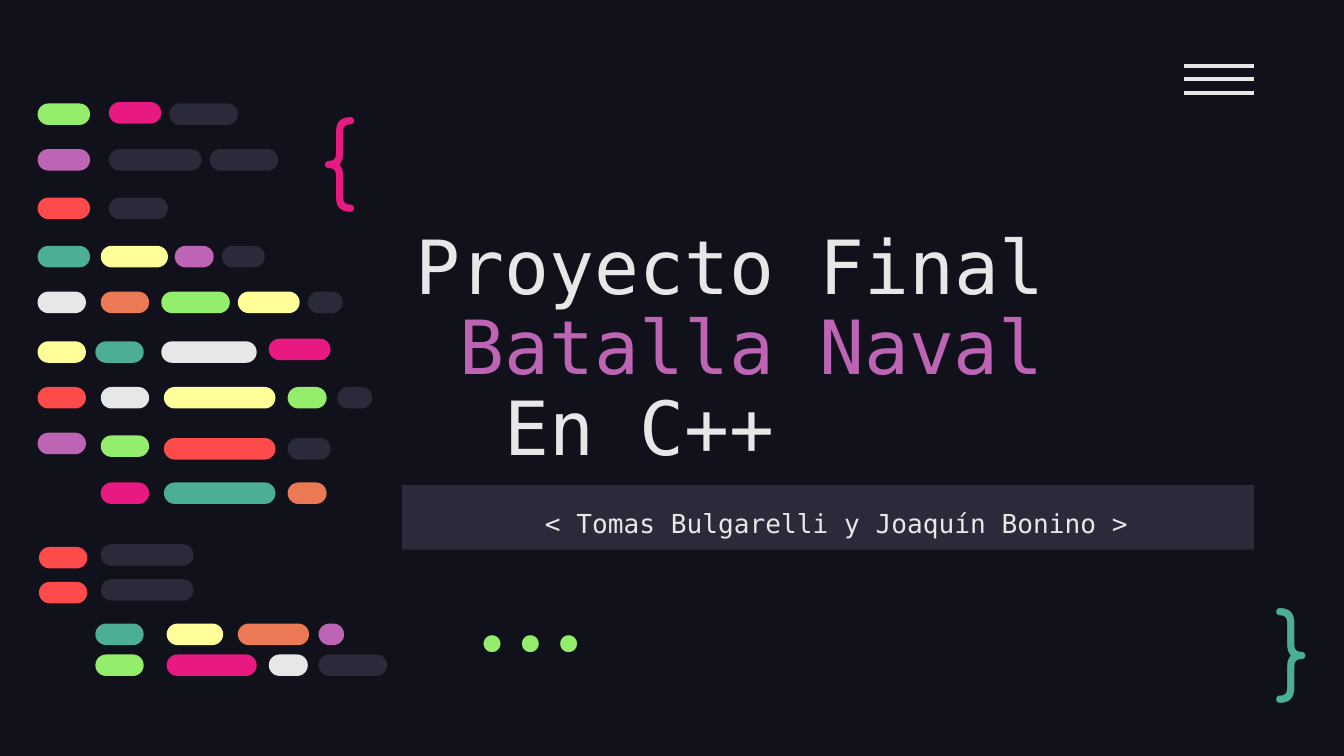
from dataclasses import dataclass, field

from lxml import etree
from pptx import Presentation
from pptx import util as u
from pptx.dml.color import RGBColor
from pptx.enum import shapes, text
from pptx.oxml.ns import qn


@dataclass
class Theme:
    cell: float = 0.1
    cols: float = 100
    rows: float = 56.25
    mono: str = "DejaVu Sans Mono"
    brace: str = "Comfortaa"
    code: str = "Fira Code"
    title: int = 40
    subtitle: int = 14
    symbol: int = 50
    char_width: float = 0.6
    colors: dict = field(default_factory=lambda: {
        "back": "10111A", "dark": "2C293A", "white": "E7E7E7",
        "purple": "BD64B5", "pink": "E81A81", "teal": "4CAE97",
        "green": "94EE6B", "red": "FD4A4A", "yellow": "FFFF99",
        "orange": "EC7955",
    })

    def rgb(self, name):
        return RGBColor.from_string(self.colors[name])


class Deck:
    def __init__(self, theme):
        self.theme = theme
        self.prs = Presentation()
        self.prs.slide_width = self.size(theme.cols)
        self.prs.slide_height = self.size(theme.rows)
        self.s = self.prs.slides.add_slide(self.prs.slide_layouts[6])
        self.paint(self.s.background.fill, "back")

    def size(self, cells):
        return u.Inches(cells * self.theme.cell)

    def paint(self, fill, color):
        fill.solid()
        fill.fore_color.rgb = self.theme.rgb(color)

    def shape(self, kind, box, color):
        sp = self.s.shapes.add_shape(kind, *map(self.size, box))
        sp.shadow.inherit = False
        self.paint(sp.fill, color)
        sp.line.fill.background()
        return sp

    def pill(self, box, color):
        sp = self.shape(shapes.MSO_SHAPE.ROUNDED_RECTANGLE, box, color)
        sp.adjustments[0] = 0.5

    def line(self, x1, x2, y, color, width):
        sp = self.s.shapes.add_connector(
            shapes.MSO_CONNECTOR.STRAIGHT, *map(self.size, (x1, y, x2, y)))
        sp.line.color.rgb = self.theme.rgb(color)
        sp.line.width = u.Pt(width)
        etree.SubElement(sp.element.spPr, qn("a:effectLst"))

    def run(self, p, words, color, font, size):
        r = p.add_run()
        r.text = words
        r.font.color.rgb = self.theme.rgb(color)
        for key, value in {"name": font, "size": u.Pt(size)}.items():
            setattr(r.font, key, value)

    def frame(self, sp, anchor):
        tf = sp.text_frame
        inset = self.size(1)
        style = {"word_wrap": True, "vertical_anchor": anchor,
                 "margin_left": inset, "margin_right": inset,
                 "margin_top": inset, "margin_bottom": inset}
        for key, value in style.items():
            setattr(tf, key, value)
        return tf

    def textbox(self, box, anchor):
        return self.frame(self.s.shapes.add_textbox(*map(self.size, box)), anchor)

    def title(self, box, lines):
        t = self.theme
        tf = self.textbox(box, text.MSO_ANCHOR.BOTTOM)
        for i, (words, color) in enumerate(lines):
            p = tf.add_paragraph() if i else tf.paragraphs[0]
            p.line_spacing = 0.9
            indent = u.Pt(i * t.title * t.char_width)
            p._p.get_or_add_pPr().set("marL", str(indent))
            self.run(p, words, color, t.mono, t.title)

    def banner(self, box, words):
        t = self.theme
        sp = self.shape(shapes.MSO_SHAPE.RECTANGLE, box, "dark")
        p = self.frame(sp, text.MSO_ANCHOR.TOP).paragraphs[0]
        p.alignment = text.PP_ALIGN.CENTER
        p.line_spacing = 1.15
        self.run(p, " ", "white", t.mono, t.subtitle + 2)
        self.run(p, words, "white", t.mono, t.subtitle)

    def symbol(self, box, words, color, font, anchor, align):
        p = self.textbox(box, anchor).paragraphs[0]
        p.alignment = align
        self.run(p, words, color, font, self.theme.symbol)


PILL_HEIGHT = 1.6
CODE_LINES = [
    (7.7, [(2.8, 3.9, "green"), (12.6, 5.1, "dark")]),
    (7.6, [(8.1, 3.9, "pink")]),
    (11.1, [(2.8, 3.9, "purple"), (8.1, 6.9, "dark"), (15.6, 5.1, "dark")]),
    (14.7, [(2.8, 3.9, "red"), (8.1, 4.4, "dark")]),
    (18.3, [(2.8, 3.9, "teal"), (7.5, 5, "yellow"), (13, 2.9, "purple"),
            (16.5, 3.2, "dark")]),
    (21.7, [(2.8, 3.6, "white"), (7.5, 3.6, "orange"), (12, 5.1, "green"),
            (17.7, 4.6, "yellow"), (22.9, 2.6, "dark")]),
    (25.4, [(2.8, 3.6, "yellow"), (7.1, 3.6, "teal"), (12, 7.1, "white")]),
    (25.2, [(20, 4.6, "pink")]),
    (28.8, [(2.8, 3.6, "red"), (7.5, 3.6, "white"), (12.2, 8.3, "yellow"),
            (21.4, 2.9, "green"), (25.1, 2.6, "dark")]),
    (32.2, [(2.8, 3.6, "purple")]),
    (32.4, [(7.5, 3.6, "green")]),
    (32.6, [(12.2, 8.3, "red"), (21.4, 3.2, "dark")]),
    (35.9, [(7.5, 3.6, "pink"), (12.2, 8.3, "teal"), (21.4, 2.9, "orange")]),
    (40.7, [(2.9, 3.6, "red")]),
    (40.5, [(7.5, 6.9, "dark")]),
    (43.3, [(2.9, 3.6, "red")]),
    (43.1, [(7.5, 6.9, "dark")]),
    (46.4, [(7.1, 3.6, "teal"), (12.4, 4.2, "yellow"), (17.7, 5.3, "orange"),
            (23.7, 1.9, "purple")]),
    (48.7, [(7.1, 3.6, "green"), (12.4, 6.7, "pink"), (20, 2.9, "white"),
            (23.7, 5.1, "dark")]),
]


def main():
    theme = Theme()
    deck = Deck(theme)
    anchor, align = text.MSO_ANCHOR, text.PP_ALIGN
    deck.title((29.9, 13.8, 63.4, 22.3), [
        ("Proyecto Final", "white"),
        ("Batalla Naval", "purple"),
        ("En C++", "white"),
    ])
    deck.banner((29.9, 36.1, 63.4, 4.8), "< Tomas Bulgarelli y Joaquín Bonino >")
    deck.symbol((22.9, 6.2, 7.7, 9.5), "{", "pink", theme.brace,
                anchor.TOP, align.LEFT)
    deck.symbol((93.9, 43.8, 5.7, 8.3), "}", "teal", theme.brace,
                anchor.MIDDLE, align.LEFT)
    deck.symbol((31.1, 44.9, 15.8, 6), "...", "green", theme.code,
                anchor.BOTTOM, align.RIGHT)
    for i in range(3):
        deck.line(88.1, 93.3, 4.9 + i, "white", 2.25)
    for top, pills in CODE_LINES:
        for left, width, color in pills:
            deck.pill((left, top, width, PILL_HEIGHT), color)
    deck.prs.save("out.pptx")


if __name__ == "__main__":
    main()
